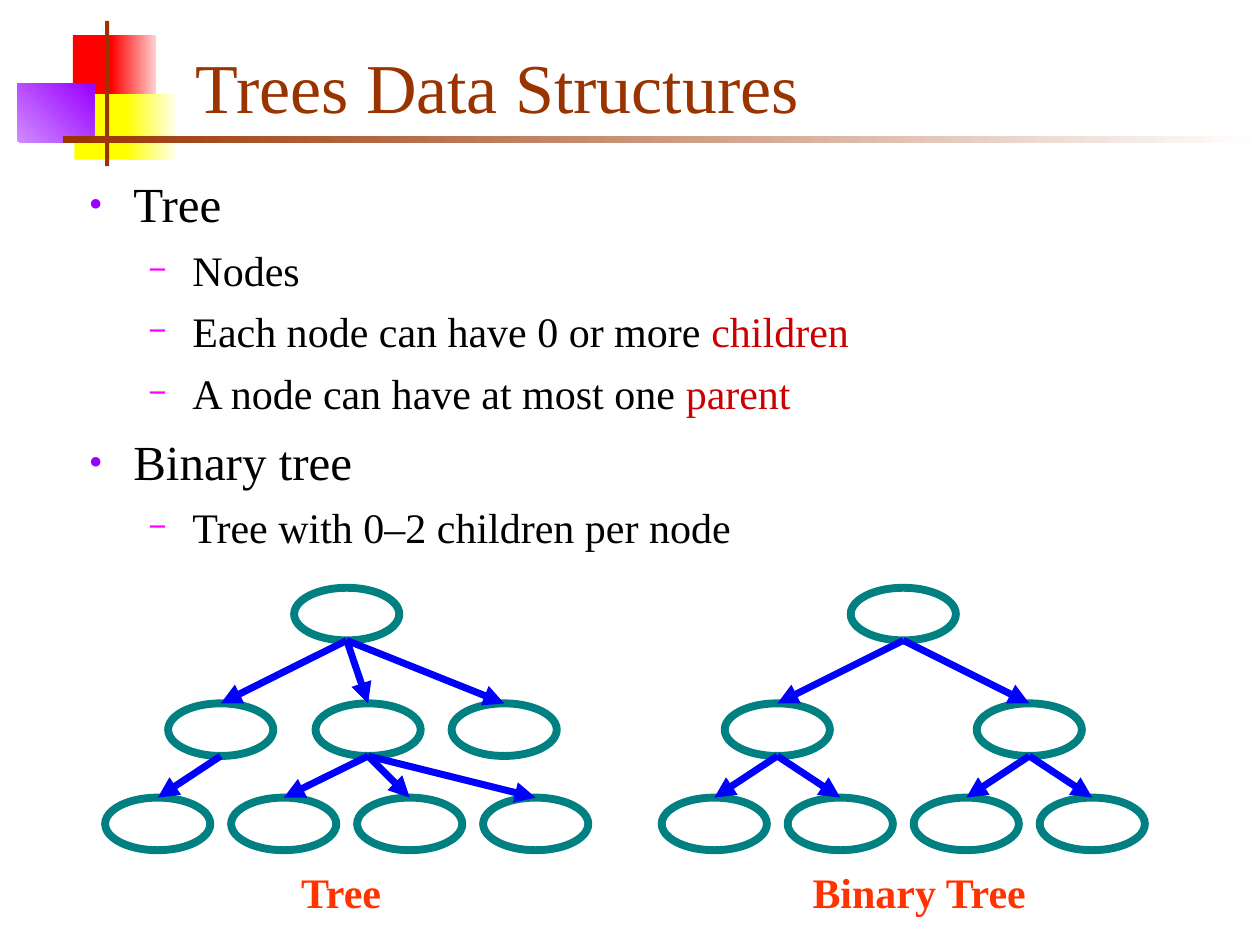
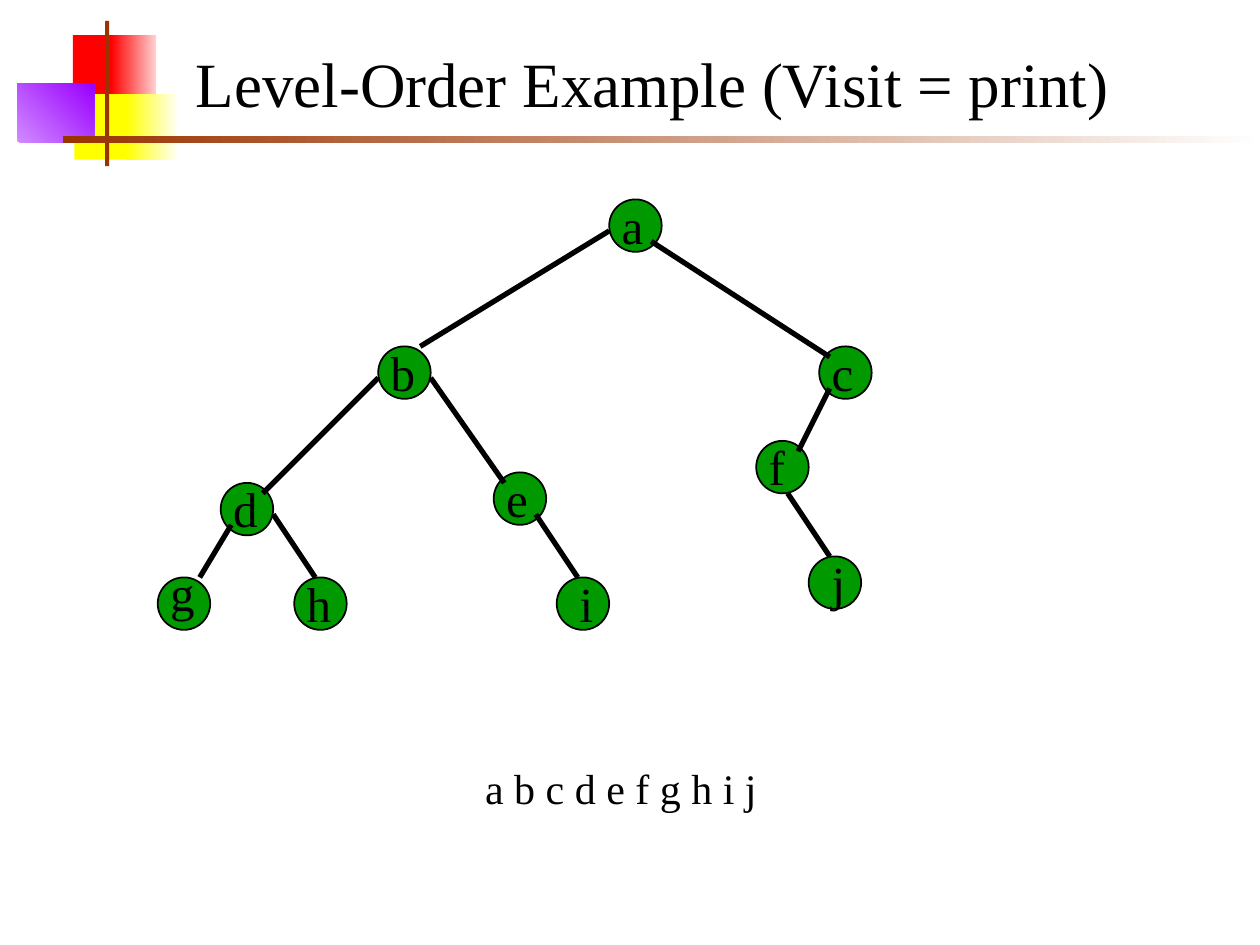
import dataclasses

import lxml.etree
import pptx
import pptx.dml.color
import pptx.enum.shapes
import pptx.enum.text
import pptx.oxml.ns
import pptx.util

Cm = pptx.util.Cm
Pt = pptx.util.Pt
SHAPES = pptx.enum.shapes.MSO_SHAPE
ANCHORS = pptx.enum.text.MSO_ANCHOR


@dataclasses.dataclass(frozen=True)
class Theme:
    font: str = "Times New Roman"
    bullet_font: str = "Arial"
    black: str = "000000"
    white: str = "FFFFFF"
    brown: str = "993300"
    red: str = "FF0000"
    pale_red: str = "FFD1D1"
    yellow: str = "FFFF00"
    pale_yellow: str = "FFFFF0"
    violet: str = "9900FF"
    pale_violet: str = "D18BFF"
    magenta: str = "FF00FF"
    keyword: str = "CC0000"
    caption: str = "FF3300"
    oval: str = "008080"
    arrow: str = "0000FF"
    node: str = "009900"
    title_size: int = 40
    long_title_size: int = 36
    large_size: int = 28
    normal_size: int = 24


THEME = Theme()

# Titles start here, clear of the corner motif (cm)
TITLE_LEFT, TITLE_WIDTH = 3.7, 20.85

# One entry per outline level; indents in cm, spacing in points
LEVELS = [
    {"size": THEME.large_size, "indent": 1.17, "before": 7.5,
     "mark": "●", "mark_color": THEME.violet, "mark_percent": 45},
    {"size": THEME.normal_size, "indent": 2.36, "before": 6.5,
     "mark": "−", "mark_color": THEME.magenta, "mark_percent": 75},
]
HANGING = 0.89

OUTLINE = [
    (0, "Tree", ""),
    (1, "Nodes", ""),
    (1, "Each node can have 0 or more ", "children"),
    (1, "A node can have at most one ", "parent"),
    (0, "Binary tree", ""),
    (1, "Tree with 0–2 children per node", ""),
]

# Each level lists (column, index of the parent in the level above)
LEAF_COLUMNS = range(4)
GENERAL_TREE = [
    [(1.5, None)],
    [(0.5, 0), (1.67, 0), (2.75, 0)],
    list(zip(LEAF_COLUMNS, (0, 1, 1, 1))),
]
BINARY_TREE = [
    [(1.5, None)],
    [(0.5, 0), (2.5, 0)],
    list(zip(LEAF_COLUMNS, (0, 0, 1, 1))),
]

# Lettered tree on a grid of twelfths of an inch
GRID = 2.54 / 12
NODE_STEPS = 5
LETTER_NODES = {
    "a": (43, 0), "b": (21, 14), "c": (63, 14), "d": (6, 27), "e": (32, 26),
    "f": (57, 23), "g": (0, 36), "h": (13, 36), "i": (38, 36), "j": (62, 34),
}
LABEL_SHIFTS = {"g": (0, -2), "i": (1, -1), "j": (1, -1)}
# Parent, child, then where the edge leaves and arrives inside each node
LETTER_EDGES = [
    ("a", "b", (0, 3), (4, 0)), ("a", "c", (4, 4), (1, 1)),
    ("b", "d", (0, 3), (4, 1)), ("b", "e", (5, 3), (1, 1)),
    ("c", "f", (1, 4), (4, 1)), ("d", "g", (1, 4), (4, 0)),
    ("d", "h", (5, 3), (2, 0)), ("e", "i", (4, 4), (2, 0)),
    ("f", "j", (3, 5), (2, 0)),
]


def rgb(color):
    return pptx.dml.color.RGBColor.from_string(color)


def set_values(target, values):
    for name, value in values.items():
        setattr(target, name, value)


def add_span(para, text, size, color, bold=False):
    span = para.add_run()
    span.text = text
    set_values(span.font, {"name": THEME.font, "size": Pt(size), "bold": bold})
    span.font.color.rgb = rgb(color)


def add_text_box(page, box, **frame_values):
    """Add an empty text box; box is left, top, width, height in cm."""
    frame = page.shapes.add_textbox(*map(Cm, box)).text_frame
    set_values(frame, {"word_wrap": True, "vertical_anchor": ANCHORS.TOP, **frame_values})
    return frame


def add_label(page, box, text, size, color, bold=False, **frame_values):
    frame = add_text_box(page, box, **frame_values)
    add_span(frame.paragraphs[0], text, size, color, bold)


def add_preset(page, kind, box, colors=(), angle=0, outline=None):
    """Fill with nothing, one colour or a gradient of two colours."""
    shape = page.shapes.add_shape(kind, *map(Cm, box))
    shape.shadow.inherit = False
    if len(colors) == 2:
        shape.fill.gradient()
        shape.fill.gradient_angle = angle
        for position, (stop, color) in enumerate(zip(shape.fill.gradient_stops, colors)):
            stop.position = position
            stop.color.rgb = rgb(color)
    elif colors:
        shape.fill.solid()
        shape.fill.fore_color.rgb = rgb(colors[0])
    else:
        shape.fill.background()
    if outline:
        color, width = outline
        shape.line.color.rgb = rgb(color)
        shape.line.width = Pt(width)
    else:
        shape.line.fill.background()
    return shape


def add_line(page, start, end, color, width, arrow=False):
    line = page.shapes.add_connector(
        pptx.enum.shapes.MSO_CONNECTOR.STRAIGHT, *map(int, (*start, *end)))
    line.line.color.rgb = rgb(color)
    line.line.width = Pt(width)
    qn = pptx.oxml.ns.qn
    properties = line._element.spPr
    if arrow:
        lxml.etree.SubElement(properties.find(qn("a:ln")), qn("a:tailEnd"), type="triangle")
    lxml.etree.SubElement(properties, qn("a:effectLst"))
    return line


def add_corner_motif(page):
    """Coloured blocks, upright bar and fading rule shared by all pages."""
    blocks = [
        ((1.47, 0.71, 0.89, 1.32), [THEME.red], 0),
        ((2.24, 0.71, 0.91, 1.32), [THEME.red, THEME.pale_red], 0),
        ((1.5, 1.9, 1.17, 1.32), [THEME.yellow], 0),
        ((2.54, 1.9, 1.02, 1.32), [THEME.yellow, THEME.pale_yellow], 0),
        ((0.35, 1.69, 1.55, 1.18), [THEME.pale_violet, THEME.violet], 45),
        ((2.12, 0.42, 0.08, 2.93), [THEME.brown], 0),
        ((1.27, 2.74, 24.13, 0.14), [THEME.brown, THEME.white], 0),
    ]
    for box, colors, angle in blocks:
        add_preset(page, SHAPES.RECTANGLE, box, colors, angle)


def format_bullet(para, level):
    style = LEVELS[level]
    para.level = level
    properties = para._p.get_or_add_pPr()
    properties.set("marL", str(Cm(style["indent"])))
    properties.set("indent", str(-Cm(HANGING)))
    qn = pptx.oxml.ns.qn
    color = lxml.etree.SubElement(properties, qn("a:buClr"))
    lxml.etree.SubElement(color, qn("a:srgbClr"), val=style["mark_color"])
    lxml.etree.SubElement(properties, qn("a:buSzPct"), val=str(style["mark_percent"] * 1000))
    lxml.etree.SubElement(properties, qn("a:buFont"), typeface=THEME.bullet_font)
    lxml.etree.SubElement(properties, qn("a:buChar"), char=style["mark"])


def add_outline(page, box):
    frame = add_text_box(page, box)
    for index, (level, text, keyword) in enumerate(OUTLINE):
        para = frame.add_paragraph() if index else frame.paragraphs[0]
        format_bullet(para, level)
        style = LEVELS[level]
        if index:
            para.space_before = Pt(style["before"])
        add_span(para, text, style["size"], THEME.black)
        if keyword:
            add_span(para, keyword, style["size"], THEME.keyword)


def add_oval_tree(page, left, top, levels, caption, caption_box):
    """Draw a tree of ovals; caption_box gives its offset and width."""
    column_pitch, level_tops = 2.54, (0, 2.33, 4.23)
    width, height = 2.12, 1.06
    rows = []
    # Ovals
    for level, level_top in zip(levels, level_tops):
        rows.append([
            add_preset(page, SHAPES.OVAL,
                       (left + column * column_pitch, top + level_top, width, height),
                       outline=(THEME.oval, 4.5))
            for column, _ in level])
    # Arrows from the foot of each parent to the top of its child
    for parents, children, level in zip(rows, rows[1:], levels[1:]):
        for child, (_, parent_index) in zip(children, level):
            parent = parents[parent_index]
            start = (parent.left + parent.width / 2, parent.top + parent.height)
            end = (child.left + child.width / 2, child.top)
            arrow = add_line(page, start, end, THEME.arrow, 4, arrow=True)
            arrow.end_connect(child, 0)
    # Caption
    offset, caption_width = caption_box
    add_label(page, (left + offset, top + 5.5, caption_width, 1.27), caption,
              THEME.normal_size, THEME.caption, bold=True, word_wrap=False)


def add_letter_tree(page, left, top):
    def place(name, shift=(0, 0)):
        column, row = LETTER_NODES[name]
        return left + (column + shift[0]) * GRID, top + (row + shift[1]) * GRID

    # Nodes
    diameter = NODE_STEPS * GRID
    for name in LETTER_NODES:
        add_preset(page, SHAPES.OVAL, (*place(name), diameter, diameter),
                   [THEME.node], outline=(THEME.black, 1))
    # Edges
    for parent, child, leave, arrive in LETTER_EDGES:
        add_line(page, map(Cm, place(parent, leave)), map(Cm, place(child, arrive)),
                 THEME.black, 3)
    # Letters
    for name in LETTER_NODES:
        corner = place(name, LABEL_SHIFTS.get(name, (0, -1)))
        add_label(page, (*corner, 2.12, 1.45), name, THEME.large_size, THEME.black)


def add_page(deck, title, top, height, size, color, anchor):
    """Add a page with the corner motif and its title beside it."""
    page = deck.slides.add_slide(deck.slide_layouts[6])
    add_corner_motif(page)
    add_label(page, (TITLE_LEFT, top, TITLE_WIDTH, height), title, size, color,
              vertical_anchor=anchor)
    return page


def build_structures_page(deck):
    page = add_page(deck, "Trees Data Structures", 0.76, 3.18,
                    THEME.title_size, THEME.brown, ANCHORS.TOP)
    add_outline(page, (1.27, 3.38, 22.86, 12.57))
    add_oval_tree(page, 13.34, 11.85, BINARY_TREE, "Binary Tree", (2.79, 4.9))
    add_oval_tree(page, 2.12, 11.85, GENERAL_TREE, "Tree", (3.7, 2.18))


def build_level_order_page(deck):
    page = add_page(deck, "Level-Order Example (Visit = print)", 0.42, 2.12,
                    THEME.long_title_size, THEME.black, ANCHORS.BOTTOM)
    add_letter_tree(page, 3.18, 4.02)
    add_label(page, (9.53, 15.24, 9.12, 1.27), "a b c d e f g h i j",
              THEME.normal_size, THEME.black)


def main():
    deck = pptx.Presentation()
    set_values(deck, {"slide_width": Cm(25.4), "slide_height": Cm(19.05)})
    build_structures_page(deck)
    build_level_order_page(deck)
    deck.save("out.pptx")


if __name__ == "__main__":
    main()
